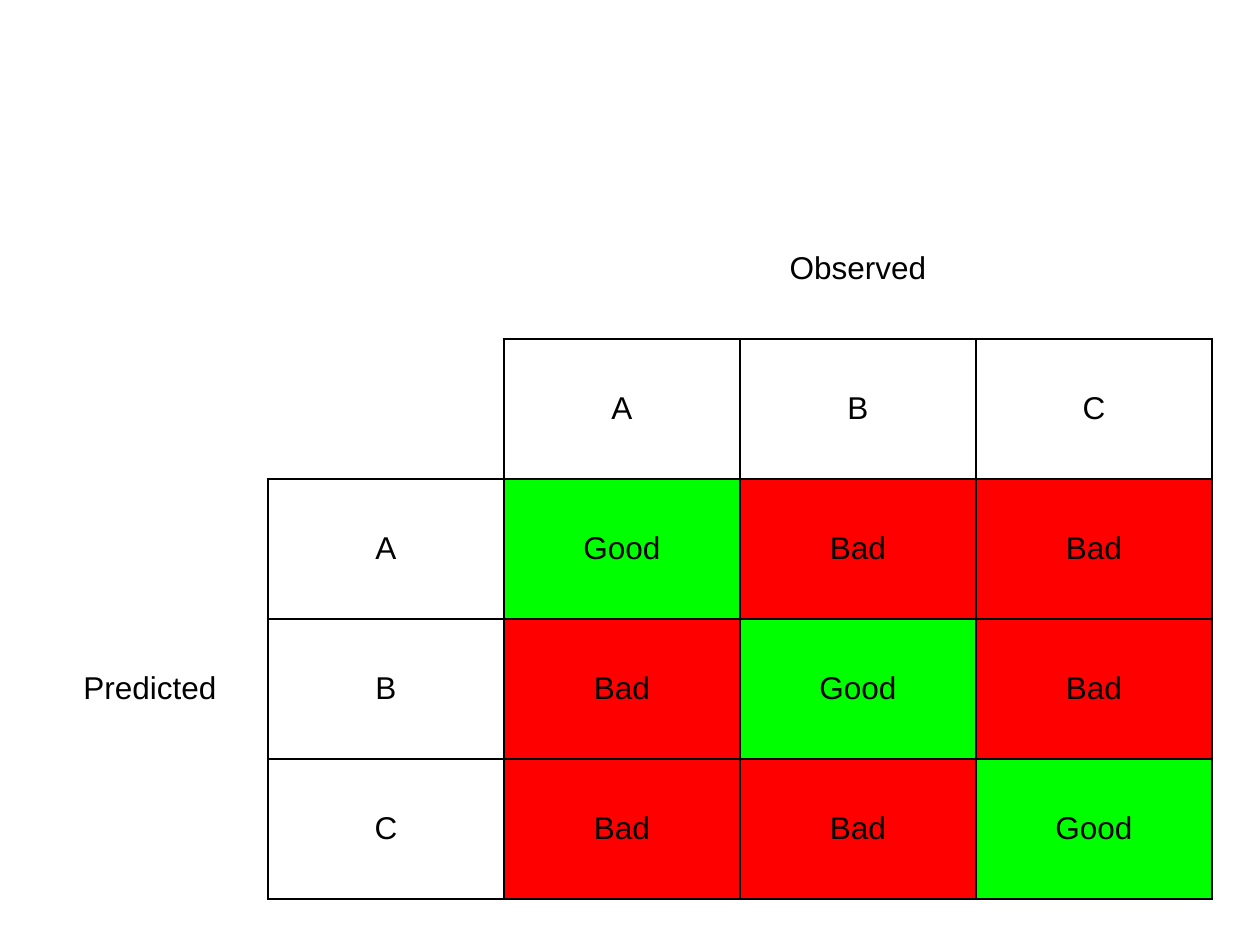
"""Build a slide with a confusion matrix of predicted against observed classes."""
import lxml.etree
import pptx
import pptx.dml.color
import pptx.enum.text
import pptx.oxml.ns
import pptx.util

PX = 914400 / 126
COLORS = {"ink": "000000", "Good": "00FF00", "Bad": "FF0000"}
LEFT, TOP, COL_W, ROW_H = 32, 199, 236, 140
SIDES = {"lnL": (0, -1), "lnR": (0, 1), "lnT": (-1, 0), "lnB": (1, 0)}
ROWS = [
    ["", "", "Observed", "", ""],
    ["", "", "A", "B", "C"],
    ["Predicted", "A", "Good", "Bad", "Bad"],
    ["", "B", "Bad", "Good", "Bad"],
    ["", "C", "Bad", "Bad", "Good"],
]


def px(n):
    return pptx.util.Emu(round(n * PX))


def is_boxed(row, col):
    return 1 <= row < 5 and 1 <= col < 5 and (row, col) != (1, 1)


prs = pptx.Presentation()
prs.slide_width, prs.slide_height = px(1260), px(945)
s = prs.slides.add_slide(prs.slide_layouts[6])

table = s.shapes.add_table(5, 5, px(LEFT), px(TOP), px(5 * COL_W), px(5 * ROW_H)).table
table.first_row = False
table.horz_banding = False
for column in table.columns:
    column.width = px(COL_W)
for table_row in table.rows:
    table_row.height = px(ROW_H)
table.cell(0, 2).merge(table.cell(0, 4))
table.cell(2, 0).merge(table.cell(4, 0))

for row, labels in enumerate(ROWS):
    for col, label in enumerate(labels):
        cell = table.cell(row, col)
        tc_pr = cell._tc.get_or_add_tcPr()
        for side, (down, right) in SIDES.items():
            ln = lxml.etree.SubElement(tc_pr, pptx.oxml.ns.qn(f"a:{side}"))
            if is_boxed(row, col) or is_boxed(row + down, col + right):
                ln.set("w", str(pptx.util.Pt(1.47)))
                fill = lxml.etree.SubElement(ln, pptx.oxml.ns.qn("a:solidFill"))
                color = lxml.etree.SubElement(fill, pptx.oxml.ns.qn("a:srgbClr"))
                color.set("val", COLORS["ink"])
            else:
                lxml.etree.SubElement(ln, pptx.oxml.ns.qn("a:noFill"))
        if label in COLORS:
            cell.fill.solid()
            cell.fill.fore_color.rgb = pptx.dml.color.RGBColor.from_string(COLORS[label])
        else:
            cell.fill.background()
        if label:
            cell.vertical_anchor = pptx.enum.text.MSO_ANCHOR.MIDDLE
            p = cell.text_frame.paragraphs[0]
            p.alignment = pptx.enum.text.PP_ALIGN.CENTER
            r = p.add_run()
            r.text = label
            r.font.name = "Arial"
            r.font.size = pptx.util.Pt(18)
            r.font.color.rgb = pptx.dml.color.RGBColor.from_string(COLORS["ink"])

prs.save("out.pptx")
